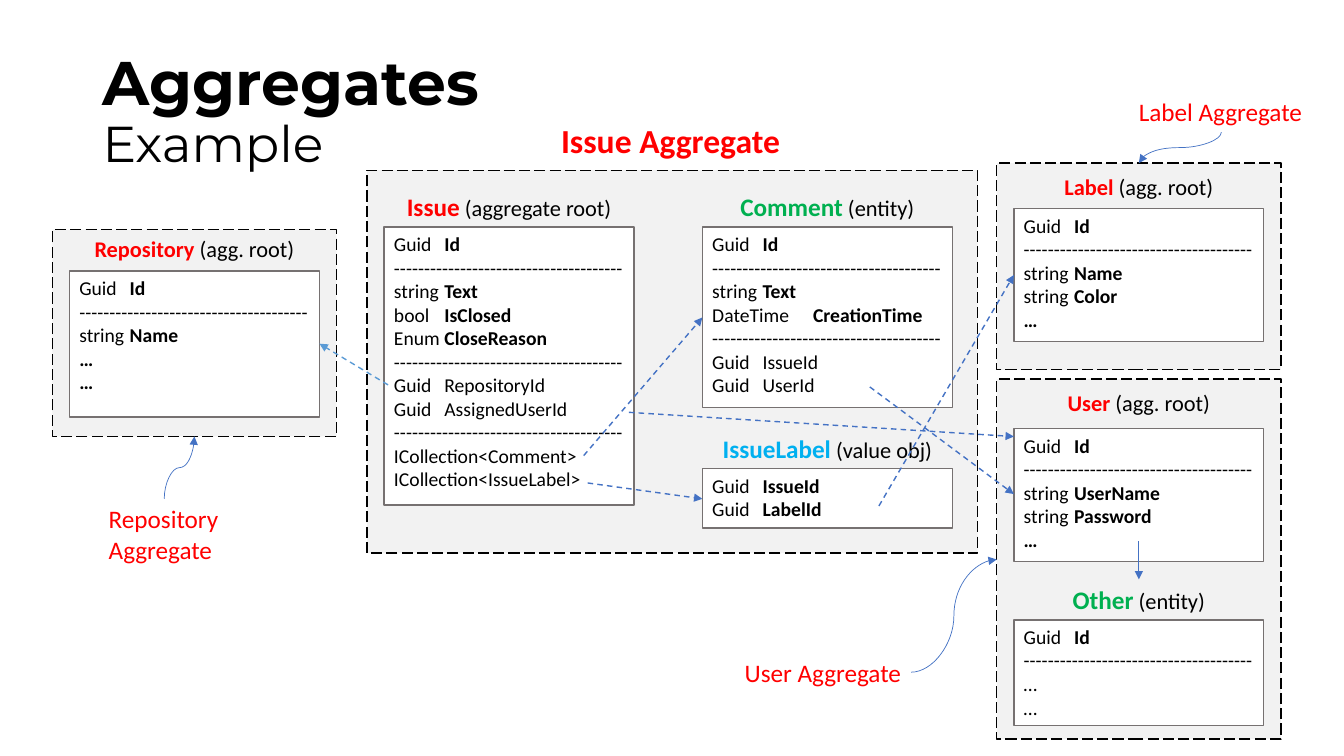
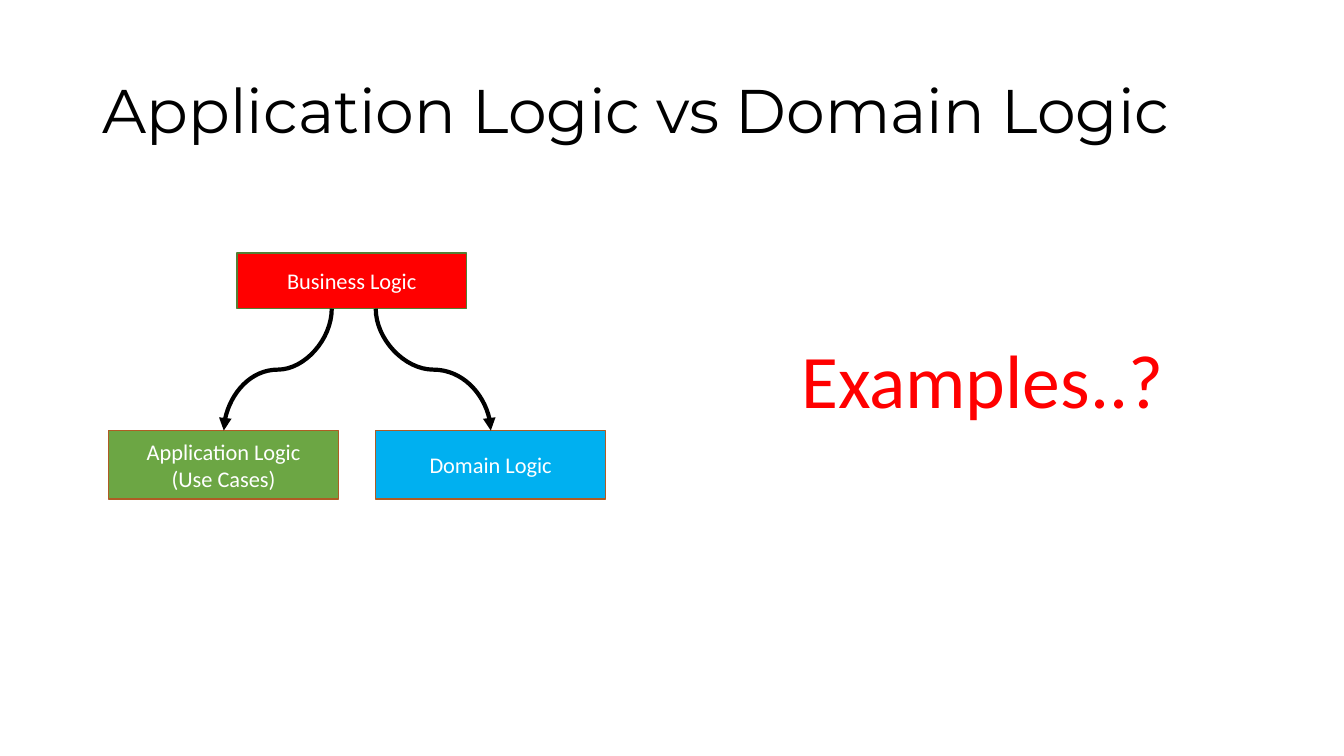
from dataclasses import dataclass

from pptx import Presentation
from pptx.dml.color import RGBColor as Rgb
from pptx.enum.dml import MSO_LINE as Dash
from pptx.enum.shapes import MSO_CONNECTOR as Link, MSO_SHAPE as Kind
from pptx.enum.text import MSO_ANCHOR as Anchor, MSO_AUTO_SIZE as Fit, PP_ALIGN as Align
from pptx.oxml.ns import qn
from pptx.oxml.xmlchemy import OxmlElement as Node
from pptx.util import Cm, Pt


@dataclass(frozen=True)
class Theme:
    head: str = "Montserrat"
    body: str = "Calibri"
    black: str = "000000"
    white: str = "FFFFFF"
    pale: str = "F2F2F2"
    gray: str = "767171"
    red: str = "FF0000"
    green: str = "00B050"
    leaf: str = "6CA644"
    moss: str = "538035"
    rust: str = "AF5C24"
    sky: str = "00B0F0"
    blue: str = "4472C4"
    soft: str = "5B9BD5"
    title: int = 44
    sub: int = 36
    huge: int = 54
    big: int = 24
    mid: int = 18
    text: int = 16
    row: int = 14


T = Theme()
RULE = "-" * 38
CARD = 6.3
PAD = 0.43
COLS = {"repo": 1.75, "issue": 9.68, "part": 17.7, "side": 25.55}


def put(item, **vals):
    for name, val in vals.items():
        setattr(item, name, val)


def add_run(para, text, size, color=T.black, bold=False, face=T.body):
    run = para.add_run()
    run.text = text
    put(run.font, name=face, size=Pt(size), bold=bold)
    run.font.color.rgb = Rgb.from_string(color)


def add_lines(frame, lines, align=Align.LEFT, space=None):
    for i, runs in enumerate(lines):
        para = frame.add_paragraph() if i else frame.paragraphs[0]
        put(para, alignment=align, line_spacing=space)
        for j, part in enumerate(runs):
            if j and part[0].startswith("\n"):
                para.add_line_break()
            add_run(para, part[0].lstrip("\n"), *part[1:])


def add_title(slide, *runs):
    shape = slide.shapes.title
    put(shape, left=Cm(2.33), top=Cm(1.01), width=Cm(29.21), height=Cm(3.68))
    put(shape.text_frame, word_wrap=True, auto_size=Fit.NONE, vertical_anchor=Anchor.MIDDLE)
    add_lines(shape.text_frame, [runs], space=0.9)


def add_text(slide, place, lines, **form):
    box = slide.shapes.add_textbox(*map(Cm, place))
    box.text_frame.word_wrap = True
    add_lines(box.text_frame, lines, **form)


def add_box(slide, place, fill, edge, dash=None, anchor=Anchor.TOP):
    box = slide.shapes.add_shape(Kind.RECTANGLE, *map(Cm, place))
    box.shadow.inherit = False
    box.fill.solid()
    box.fill.fore_color.rgb = Rgb.from_string(fill)
    box.line.color.rgb = Rgb.from_string(edge)
    put(box.line, width=Pt(1), dash_style=dash)
    put(box.text_frame, word_wrap=True, vertical_anchor=anchor)
    return box.text_frame


def add_card(slide, col, top, high, name, role, color, rows, size=T.mid, gap=1.02):
    left = COLS[col]
    add_text(slide, (left, top - gap, CARD, gap),
             [[(name, size, color, True), (f" ({role})", T.text)]], align=Align.CENTER)
    lines = []
    for row in rows:
        kind, star, bold = row.partition("*")
        runs = [(kind, T.row)] if kind else []
        lines.append(runs + ([(bold, T.row, T.black, True)] if star else []))
    add_lines(add_box(slide, (left, top, CARD, high), T.white, T.gray), lines)


def add_arrow(slide, start, end, color=T.blue, width=1, dash=None, kind=Link.STRAIGHT, turn=False):
    if turn:
        midx, midy = ((a + b) / 2 for a, b in zip(start, end))
        start, end = ((midx + y - midy, midy - x + midx) for x, y in (start, end))
    link = slide.shapes.add_connector(kind, *map(Cm, (*start, *end)))
    link.line.color.rgb = Rgb.from_string(color)
    put(link.line, width=Pt(width), dash_style=dash)
    props = link._element.spPr
    if turn:
        props.find(qn("a:xfrm")).set("rot", str(90 * 60000))
    tip = Node("a:tailEnd")
    tip.set("type", "triangle")
    props.find(qn("a:ln")).append(tip)
    props.append(Node("a:effectLst"))


def draw_model(slide):
    wide = CARD + 2 * PAD
    side = COLS["side"] - PAD
    for place in ((side, 4.11, wide, 5.21), (side, 9.55, wide, 9.07),
                  (COLS["repo"] - PAD, 5.79, wide, 5.21), (COLS["issue"] - PAD, 4.29, 15.39, 9.65)):
        add_box(slide, place, T.pale, T.black, Dash.LONG_DASH)

    add_title(slide, ("Aggregates", T.title, T.black, True, T.head),
              ("\nExample", T.sub, T.black, False, T.head))

    key = ["Guid\t*Id", RULE]
    add_card(slide, "issue", 5.72, 7.01, "Issue", "aggregate root", T.red,
             key + ["string\t*Text", "bool\t*IsClosed", "Enum\t*CloseReason", RULE,
                    "Guid\tRepositoryId", "Guid\tAssignedUserId", RULE,
                    "ICollection<Comment>", "ICollection<IssueLabel>"])
    add_card(slide, "part", 11.81, 1.5, "IssueLabel", "value obj", T.sky,
             ["Guid\t*IssueId", "Guid\t*LabelId"])
    add_card(slide, "part", 5.72, 4.55, "Comment", "entity", T.green,
             key + ["string\t*Text", "DateTime\t*CreationTime", RULE,
                    "Guid\tIssueId", "Guid\tUserId"])
    add_card(slide, "repo", 6.83, 3.68, "Repository", "agg. root", T.red,
             key + ["string\t*Name", "*…", "*…"], T.text)
    add_card(slide, "side", 10.8, 3.35, "User", "agg. root", T.red,
             key + ["string\t*UserName", "string\t*Password", "*…"], T.text, 1.12)
    add_card(slide, "side", 5.26, 3.35, "Label", "agg. root", T.red,
             key + ["string\t*Name", "string\t*Color", "*…"], T.text)
    add_card(slide, "side", 15.62, 2.67, "Other", "entity", T.green, key + ["…", "…"])

    add_arrow(slide, (9.78, 9.7), (8.05, 8.66), T.soft, dash=Dash.DASH)
    for start, end in (((15.85, 10.39), (25.55, 11)), ((14.71, 11.48), (17.7, 8)),
                       ((14.81, 12.17), (17.7, 12.57)), ((22.15, 12.75), (25.55, 6.93)),
                       ((21.92, 9.75), (25.55, 12.45))):
        add_arrow(slide, start, end, dash=Dash.DASH)
    add_arrow(slide, (28.7, 13.64), (28.7, 14.6), width=0.5)

    add_text(slide, (13.89, 2.9, 6.4, 1.27), [[("Issue Aggregate", T.big, T.red, True)]])
    for place, words, align in (((2.49, 12.57, 3.6, 1.8), ("Repository", "Aggregate"), Align.LEFT),
                                ((17.6, 16.43, 5.36, 1.02), ("User Aggregate",), Align.RIGHT),
                                ((28.45, 2.31, 4.9, 1.02), ("Label Aggregate",), Align.LEFT)):
        add_text(slide, place, [[(word, T.mid, T.red)] for word in words], align=align)
    for start, end, turn in (((4.14, 12.57), (4.9, 11), True),
                             ((22.96, 16.94), (25.12, 14.1), False),
                             ((30.78, 3.33), (28.7, 4.11), True)):
        add_arrow(slide, start, end, width=0.5, kind=Link.CURVE, turn=turn)


def draw_logic(slide):
    add_title(slide, ("Application Logic vs Domain Logic", T.title, T.black, False, T.head))
    add_text(slide, (19.94, 8.53, 10.31, 8.05), [[("Examples..?", T.huge, T.red)]], space=0.9)
    for left, top, high, fill, edge, runs in (
            (5.97, 6.38, 1.4, T.red, T.moss, ["Business Logic"]),
            (2.74, 10.85, 1.73, T.leaf, T.rust, ["Application Logic", "\n(Use Cases)"]),
            (9.47, 10.85, 1.73, T.sky, T.rust, ["Domain Logic"])):
        frame = add_box(slide, (left, top, 5.79, high), fill, edge, anchor=Anchor.MIDDLE)
        add_lines(frame, [[(run, T.text, T.white) for run in runs]], Align.CENTER)
    for start, end in ((8.36, 5.64), (9.47, 12.37)):
        add_arrow(slide, (start, 7.78), (end, 10.85), T.black, 3, kind=Link.CURVE, turn=True)


def main():
    deck = Presentation()
    put(deck, slide_width=Cm(33.87), slide_height=Cm(19.05))
    for draw in (draw_model, draw_logic):
        draw(deck.slides.add_slide(deck.slide_layouts[5]))
    deck.save("out.pptx")


if __name__ == "__main__":
    main()
